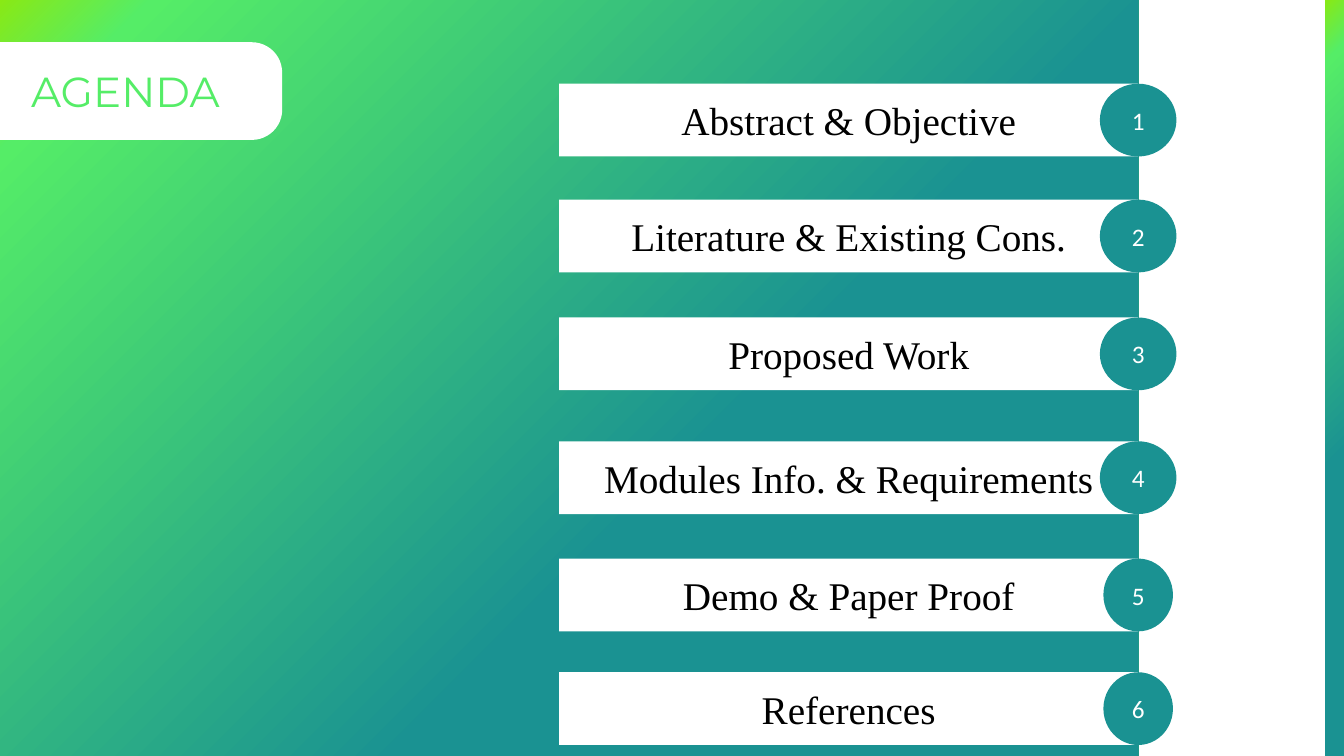
from pptx import Presentation
from pptx.dml.color import RGBColor
from pptx.enum.shapes import MSO_SHAPE as SHAPE
from pptx.enum.text import MSO_ANCHOR as ANCHOR, PP_ALIGN as ALIGN
from pptx.oxml import parse_xml
from pptx.oxml.ns import nsdecls
from pptx.util import Pt

COLORS = {"lime": "89E915", "green": "55ED67", "teal": "1A9292",
          "white": "FFFFFF", "black": "000000"}
GRADIENT = [(0, "lime"), (8, "green"), (61, "teal")]
PANEL_W = 813
ROW_H = 52
AGENDA = [
    ("Abstract & Objective", 59.8, 54.7),
    ("Literature & Existing Cons.", 142.6, 54.7),
    ("Proposed Work", 226.8, 54.7),
    ("Modules Info. & Requirements", 315.2, 54.7),
    ("Demo & Paper Proof", 399, 49.7),
    ("References", 480.2, 49.7),
]


def diagonal_gradient():
    """Return a gradient fill that runs from the top left to the bottom right."""
    stops = "".join(f'<a:gs pos="{pos * 1000}"><a:srgbClr val="{COLORS[name]}"/></a:gs>'
                    for pos, name in GRADIENT)
    return parse_xml(f'<a:gradFill {nsdecls("a")} rotWithShape="1"><a:gsLst>{stops}</a:gsLst>'
                     '<a:lin ang="2700000" scaled="0"/></a:gradFill>')


def add_block(s, kind, box, color=None):
    """Add a borderless shape, with the gradient when no colour is given."""
    sp = s.shapes.add_shape(kind, *map(Pt, box))
    sp.shadow.inherit = False
    sp.line.fill.background()
    if color:
        sp.fill.solid()
        sp.fill.fore_color.rgb = RGBColor.from_string(COLORS[color])
    else:
        sp._element.spPr.insert(2, diagonal_gradient())
    return sp


def add_label(sp, text, font, size, color=None):
    """Write one centred run, with the gradient when no colour is given."""
    tf = sp.text_frame
    tf.word_wrap = True
    tf.vertical_anchor = ANCHOR.MIDDLE
    p = tf.paragraphs[0]
    p.alignment = ALIGN.CENTER
    r = p.add_run()
    r.text = text
    r.font.name = font
    r.font.size = Pt(size)
    if color:
        r.font.color.rgb = RGBColor.from_string(COLORS[color])
    else:
        r._r.get_or_add_rPr().insert(0, diagonal_gradient())


def add_title(s, box):
    """Place the title on a white rounded tab."""
    tab = add_block(s, SHAPE.ROUNDED_RECTANGLE, box, "white")
    tab.adjustments[0] = 0.31
    title = s.shapes.title
    title.left, title.top, title.width, title.height = map(Pt, box)
    s.shapes._spTree.append(title._element)
    add_label(title, "AGENDA", "Montserrat", 30)


def add_row(s, box, number, text, badge_w):
    """Add an agenda bar with a numbered badge centred on its right edge."""
    x, y, w, h = box
    bar = add_block(s, SHAPE.RECTANGLE, box, "white")
    add_label(bar, text, "Times New Roman", 28, "black")
    badge = add_block(s, SHAPE.OVAL, (x + w - badge_w / 2, y, badge_w, h), "teal")
    add_label(badge, str(number), "Calibri", 18, "white")


def build_agenda(prs):
    """Build the agenda slide."""
    s = prs.slides.add_slide(prs.slide_layouts[5])
    add_block(s, SHAPE.RECTANGLE, (0, 0, PANEL_W, 540))
    add_title(s, (-22.4, 30.2, 224, 69.8))
    bar_x = 399.4
    for number, (text, y, badge_w) in enumerate(AGENDA, 1):
        add_row(s, (bar_x, y, PANEL_W - bar_x, ROW_H), number, text, badge_w)
    add_block(s, SHAPE.RECTANGLE, (946.6, 0, 13.4, 540))


def main():
    """Create and save the presentation."""
    prs = Presentation()
    prs.slide_width, prs.slide_height = Pt(960), Pt(540)
    build_agenda(prs)
    prs.save("out.pptx")


if __name__ == "__main__":
    main()
